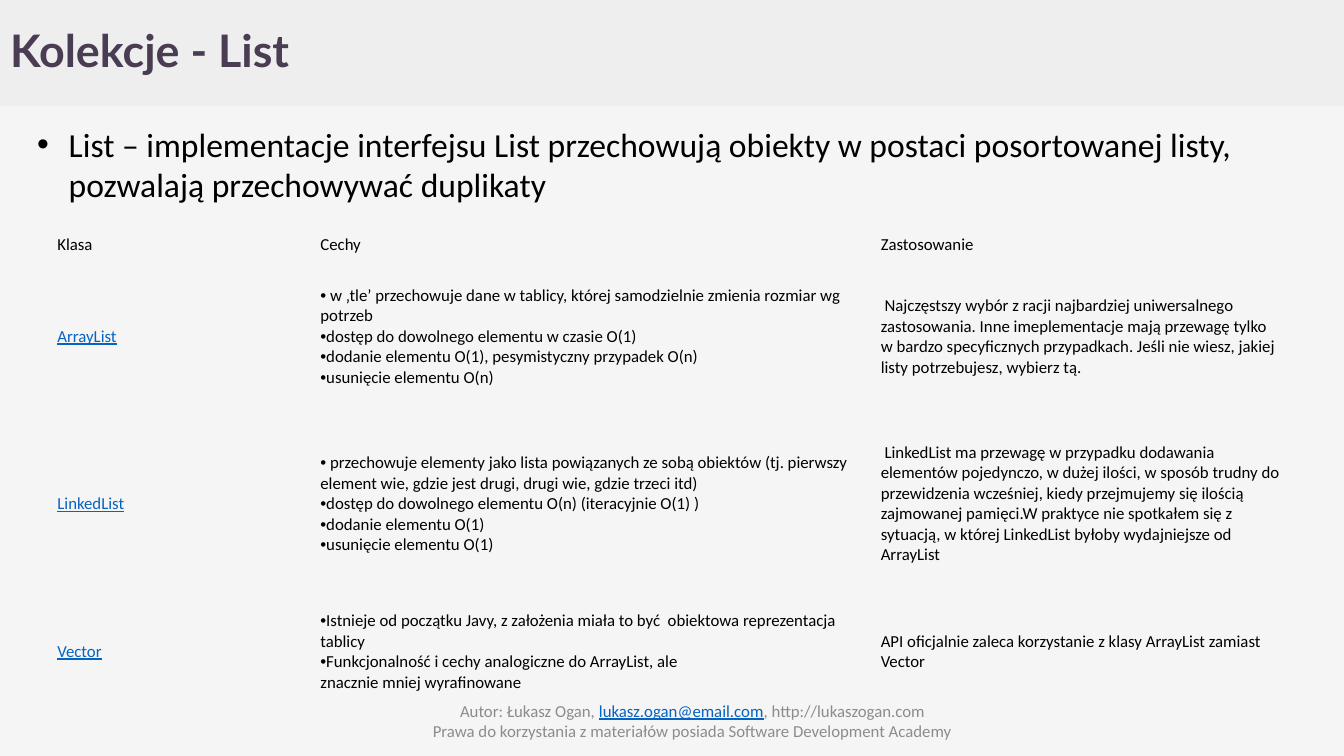
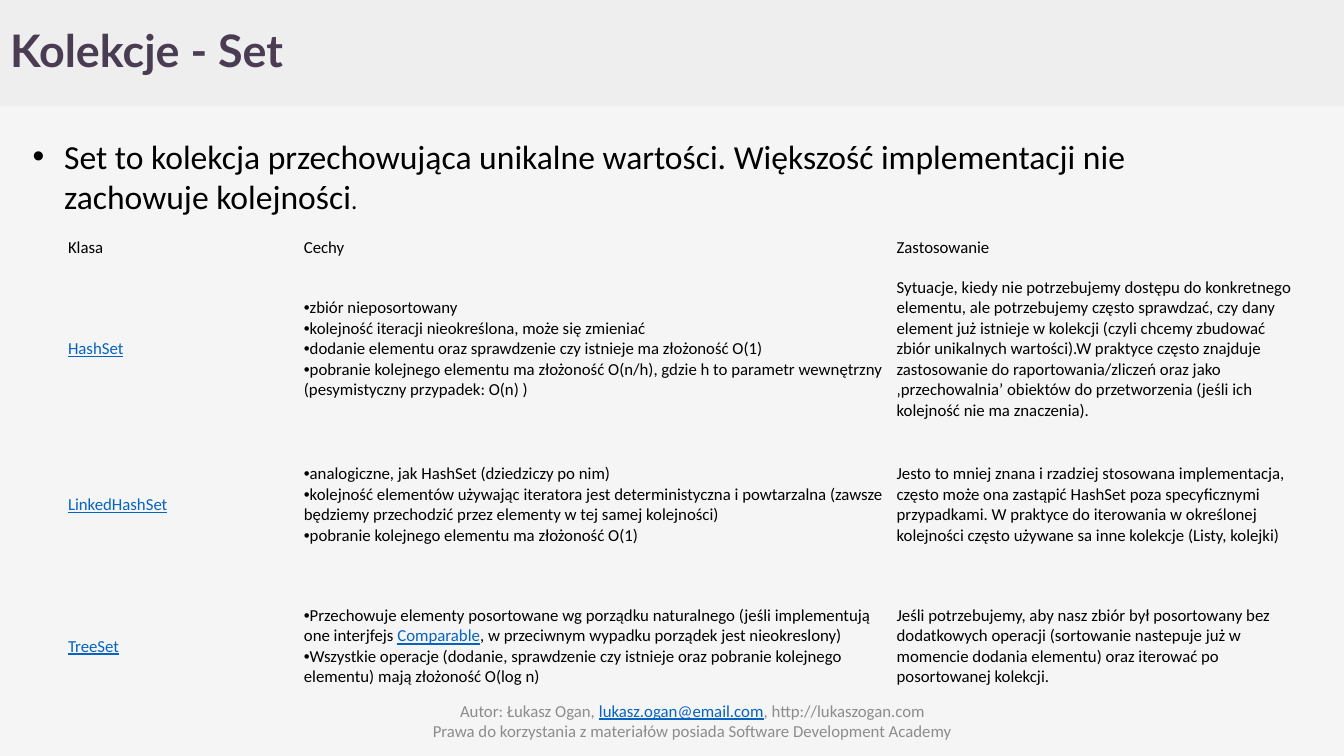
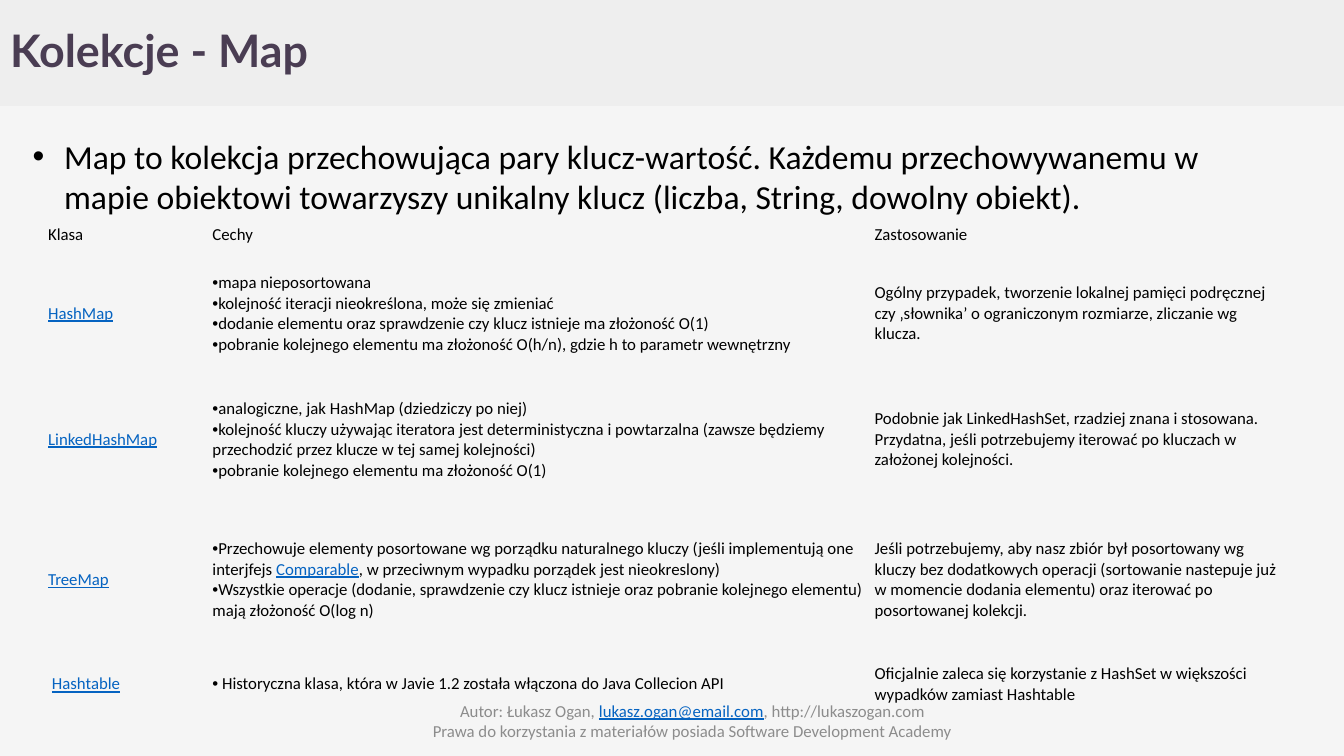
from pptx import Presentation
from pptx.dml.color import RGBColor
from pptx.enum import shapes, text
from pptx.oxml import ns
from pptx.util import Pt
from lxml import etree

PAPER = RGBColor(0xF5, 0xF5, 0xF5)
BAND = RGBColor(0xEE, 0xEE, 0xEE)
PLUM = RGBColor(0x4A, 0x3D, 0x53)
BLACK = RGBColor(0, 0, 0)
GRAY = RGBColor(0x8C, 0x8C, 0x8C)
LINK = RGBColor(0x05, 0x63, 0xC1)
PLAIN = "{2D5ABB26-0587-4C30-8999-92F81FD0307C}"
HARD = chr(160)
HEAD = ("Klasa", ["Cechy"], "Zastosowanie")
FOOT = [
    "Autor: Łukasz Ogan, |lukasz.ogan@email.com|, http://lukaszogan.com",
    "Prawa do korzystania z materiałów posiada Software Development Academy",
]

DECK = [
    {
        "title": "Kolekcje - List",
        "lead": "List – implementacje interfejsu List przechowują obiekty w postaci posortowanej listy, pozwalają przechowywać duplikaty",
        "tail": "",
        "body": (19.4, 84.8, 916.6, 65.5),
        "spot": (36.7, 165.1),
        "cols": (187.9, 400.3, 293.8),
        "tall": (18, 112.8, 126, 85.2),
        "pad": (4.3, 2.2),
        "rows": [
            ("|ArrayList|", [
                "~w ‚tle’ przechowuje dane w tablicy, której samodzielnie zmienia rozmiar wg potrzeb",
                "dostęp do dowolnego elementu w czasie O(1)",
                "dodanie elementu O(1), pesymistyczny przypadek O(n)",
                "usunięcie elementu O(n)",
            ], "~Najczęstszy wybór z racji najbardziej uniwersalnego zastosowania. Inne imeplementacje mają przewagę tylko w~bardzo specyficznych przypadkach. Jeśli nie wiesz, jakiej listy potrzebujesz, wybierz tą."),
            ("|LinkedList|", [
                "~przechowuje elementy jako lista powiązanych ze sobą obiektów (tj. pierwszy element wie, gdzie jest drugi, drugi wie, gdzie trzeci itd)",
                "dostęp do dowolnego elementu O(n) (iteracyjnie O(1) )",
                "dodanie elementu O(1)",
                "usunięcie elementu O(1)",
            ], "~LinkedList ma przewagę w przypadku dodawania elementów pojedynczo, w dużej ilości, w sposób trudny do przewidzenia wcześniej, kiedy przejmujemy się ilością zajmowanej pamięci.W praktyce nie spotkałem się z sytuacją, w której LinkedList byłoby~wydajniejsze od ArrayList"),
            ("|Vector|", [
                "Istnieje od początku Javy, z założenia miała to być ~obiektowa reprezentacja tablicy",
                "Funkcjonalność i cechy analogiczne~do ArrayList, ale znacznie~mniej~wyrafinowane",
            ], "API oficjalnie zaleca korzystanie z klasy ArrayList zamiast Vector"),
        ],
    },
    {
        "title": "Kolekcje - Set",
        "lead": "Set to kolekcja przechowująca unikalne wartości. Większość implementacji nie zachowuje kolejności",
        "tail": ".",
        "body": (16.1, 93.3, 900.7, 65.5),
        "spot": (45.2, 168),
        "cols": (168.5, 423.4, 295.9),
        "tall": (13.7, 126.7, 95.8, 106.6),
        "pad": (3.4, 1.7),
        "rows": [
            ("|HashSet|", [
                "zbiór nieposortowany",
                "kolejność iteracji nieokreślona, może się zmieniać",
                "dodanie elementu oraz sprawdzenie czy istnieje ma złożoność O(1)",
                "pobranie kolejnego elementu ma złożoność O(n/h), gdzie h to parametr wewnętrzny (pesymistyczny przypadek: O(n) )",
            ], "Sytuacje, kiedy nie potrzebujemy dostępu do konkretnego elementu, ale potrzebujemy często sprawdzać, czy dany element już istnieje w kolekcji (czyli chcemy zbudować zbiór unikalnych wartości).W praktyce często znajduje zastosowanie~do raportowania/zliczeń~oraz jako ‚przechowalnia’ obiektów do przetworzenia (jeśli ich kolejność nie ma znaczenia)."),
            ("|LinkedHashSet|", [
                "analogiczne, jak HashSet (dziedziczy po nim)",
                "kolejność elementów używając iteratora jest deterministyczna i powtarzalna (zawsze będziemy przechodzić przez elementy w tej samej kolejności)",
                "pobranie kolejnego elementu ma złożoność O(1)",
            ], "Jesto to mniej znana i rzadziej stosowana implementacja, często może ona zastąpić HashSet poza specyficznymi przypadkami. W praktyce do iterowania w określonej kolejności często używane sa inne kolekcje (Listy, kolejki)"),
            ("|TreeSet|", [
                "Przechowuje elementy posortowane wg porządku naturalnego (jeśli implementują one interjfejs |Comparable|, w przeciwnym wypadku porządek jest nieokreslony)",
                "Wszystkie operacje (dodanie, sprawdzenie czy istnieje oraz pobranie kolejnego elementu) mają złożoność O(log n)",
            ], "Jeśli potrzebujemy, aby nasz zbiór był posortowany bez dodatkowych operacji (sortowanie nastepuje już w momencie dodania elementu) oraz iterować po posortowanej kolekcji."),
        ],
    },
    {
        "title": "Kolekcje - Map",
        "lead": "Map to kolekcja przechowująca pary klucz-wartość. Każdemu przechowywanemu w mapie obiektowi towarzyszy unikalny klucz (liczba, String, dowolny obiekt).",
        "tail": "",
        "body": (16.1, 93.3, 900.7, 65.5),
        "spot": (31, 158.6),
        "cols": (117.4, 473, 295.2),
        "tall": (13.7, 95, 85, 115.2, 33.8),
        "pad": (3.4, 1.7),
        "rows": [
            ("|HashMap|", [
                "mapa~nieposortowana",
                "kolejność iteracji nieokreślona, może się zmieniać",
                "dodanie elementu oraz sprawdzenie czy klucz istnieje ma złożoność O(1)",
                "pobranie kolejnego elementu ma złożoność O(h/n), gdzie h to parametr wewnętrzny",
            ], "Ogólny przypadek, tworzenie lokalnej pamięci podręcznej czy ‚słownika’ o ograniczonym rozmiarze, zliczanie wg klucza."),
            ("|LinkedHashMap|", [
                "analogiczne, jak HashMap (dziedziczy po niej)",
                "kolejność kluczy~używając iteratora jest deterministyczna i powtarzalna (zawsze będziemy przechodzić przez klucze~w tej samej kolejności)",
                "pobranie kolejnego elementu ma złożoność O(1)",
            ], "Podobnie jak LinkedHashSet, rzadziej znana i stosowana. Przydatna, jeśli potrzebujemy iterować po kluczach w założonej kolejności."),
            ("|TreeMap|", [
                "Przechowuje elementy posortowane wg porządku naturalnego kluczy (jeśli implementują one interjfejs |Comparable|, w przeciwnym wypadku porządek jest nieokreslony)",
                "Wszystkie operacje (dodanie, sprawdzenie czy klucz istnieje oraz pobranie kolejnego elementu) mają złożoność O(log n)",
            ], "Jeśli potrzebujemy, aby nasz zbiór był posortowany wg kluczy bez dodatkowych operacji (sortowanie nastepuje już w momencie dodania elementu) oraz iterować po posortowanej kolekcji."),
            ("~|Hashtable|", [
                "~Historyczna klasa, która w Javie 1.2 została włączona do Java Collecion API",
            ], "Oficjalnie zaleca się korzystanie z HashSet w większości wypadków zamiast Hashtable"),
        ],
    },
]


def write(para, words, size=12, tone=BLACK):
    for at, part in enumerate(words.replace("~", HARD).split("|")):
        if part:
            run = para.add_run()
            run.text = part
            run.font.name = "Calibri"
            run.font.size = Pt(size)
            run.font.color.rgb = LINK if at % 2 else tone
            if at % 2:
                run.font.underline = True


def bullet(para, inset=0):
    props = para._p.get_or_add_pPr()
    props.set("marL", str(Pt(inset)))
    props.set("indent", str(-Pt(inset)))
    etree.SubElement(props, ns.qn("a:buFont")).set("typeface", "Arial")
    etree.SubElement(props, ns.qn("a:buChar")).set("char", "•")


prs = Presentation()
prs.slide_width, prs.slide_height = Pt(960), Pt(540)
fill = prs.slide_master.background.fill
fill.solid()
fill.fore_color.rgb = PAPER

layout = prs.slide_layouts[1]
top = layout.placeholders[0]
top.left, top.top, top.width, top.height = Pt(0), Pt(0), Pt(857.5), Pt(75.6)

for page in DECK:
    slide = prs.slides.add_slide(layout)
    band = slide.shapes.add_shape(shapes.MSO_SHAPE.RECTANGLE, 0, 0, Pt(960), Pt(75.6))
    band.shadow.inherit = False
    band.fill.solid()
    band.fill.fore_color.rgb = BAND
    band.line.fill.background()
    slide.shapes.element.insert(2, band.element)

    title = slide.shapes.title.text_frame
    title.text = page["title"]
    title.auto_size = text.MSO_AUTO_SIZE.NONE
    title.vertical_anchor = text.MSO_ANCHOR.MIDDLE
    para = title.paragraphs[0]
    para.alignment = text.PP_ALIGN.LEFT
    para.line_spacing = 0.9
    font = para.runs[0].font
    font.name, font.size, font.bold = "Lato", Pt(32), True
    font.color.rgb = PLUM

    body = slide.placeholders[1]
    body.left, body.top, body.width, body.height = [Pt(n) for n in page["body"]]
    body.text_frame.auto_size = text.MSO_AUTO_SIZE.NONE
    para = body.text_frame.paragraphs[0]
    bullet(para, 22.5)
    para.space_before = Pt(0)
    write(para, page["lead"], 24)
    write(para, page["tail"], 18)

    rows = [HEAD] + page["rows"]
    left, high = page["spot"]
    frame = slide.shapes.add_table(
        len(rows), 3, Pt(left), Pt(high), Pt(sum(page["cols"])), Pt(sum(page["tall"])))
    frame.element.find(".//" + ns.qn("a:tableStyleId")).text = PLAIN
    table = frame.table
    table.first_row = table.horz_banding = False
    for col, wide in zip(table.columns, page["cols"]):
        col.width = Pt(wide)
    side, edge = page["pad"]
    for row, tall, data in zip(table.rows, page["tall"], rows):
        row.height = Pt(tall)
        for cell, item in zip(row.cells, data):
            cell.fill.background()
            cell.vertical_anchor = text.MSO_ANCHOR.MIDDLE
            cell.margin_left = cell.margin_right = Pt(side)
            cell.margin_top = cell.margin_bottom = Pt(edge)
            lines = item if isinstance(item, list) else [item]
            for at, line in enumerate(lines):
                para = cell.text_frame.add_paragraph() if at else cell.text_frame.paragraphs[0]
                if lines is item and data is not HEAD:
                    bullet(para)
                write(para, line)

    foot = slide.shapes.add_textbox(Pt(267.1), Pt(500.4), Pt(455), Pt(28.8)).text_frame
    foot.word_wrap = True
    foot.vertical_anchor = text.MSO_ANCHOR.MIDDLE
    for at, line in enumerate(FOOT):
        para = foot.add_paragraph() if at else foot.paragraphs[0]
        para.alignment = text.PP_ALIGN.CENTER
        write(para, line, 12, GRAY)

prs.save("out.pptx")
